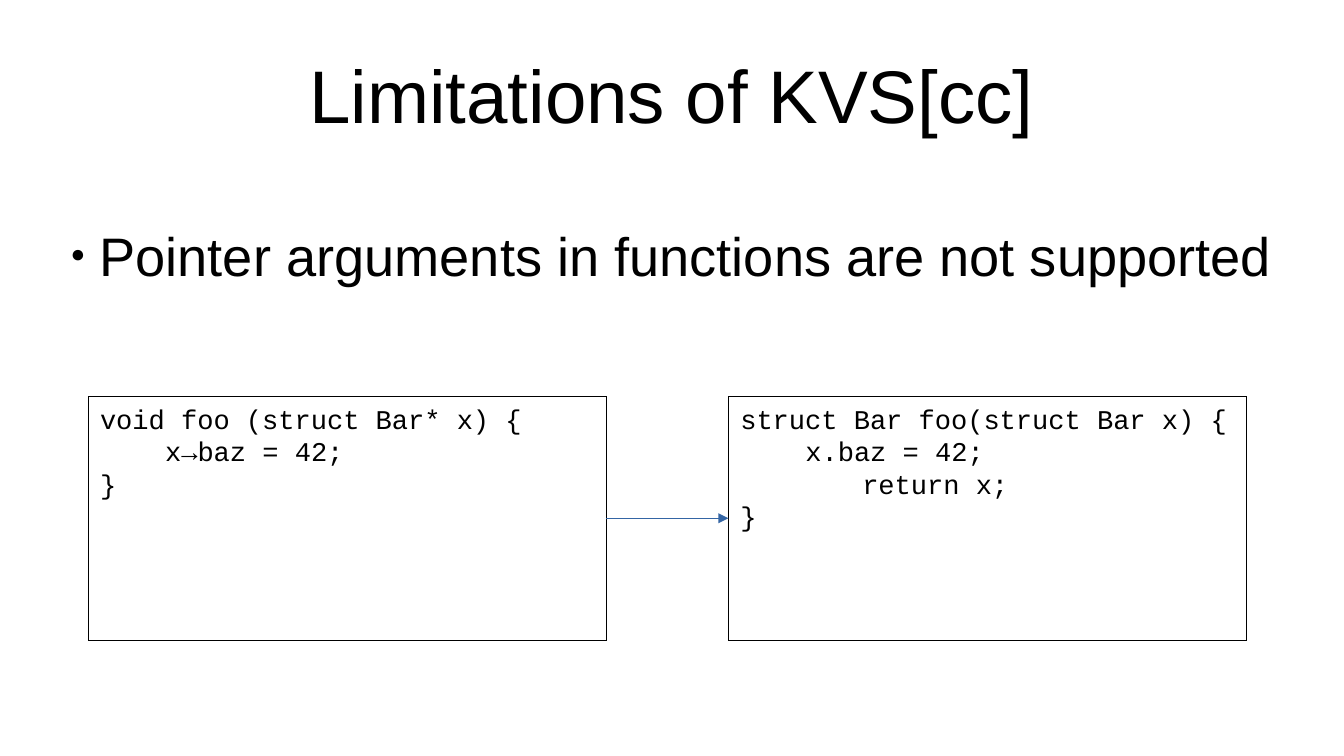
from dataclasses import dataclass

from lxml import etree
from pptx import Presentation
from pptx.dml.color import RGBColor
from pptx.enum.shapes import MSO_CONNECTOR, MSO_SHAPE
from pptx.enum.text import MSO_ANCHOR, MSO_AUTO_SIZE, PP_ALIGN
from pptx.oxml.ns import qn
from pptx.util import Pt

STRAIGHT = MSO_CONNECTOR.STRAIGHT
RECTANGLE = MSO_SHAPE.RECTANGLE
TOP, MIDDLE = MSO_ANCHOR.TOP, MSO_ANCHOR.MIDDLE
NO_AUTOFIT = MSO_AUTO_SIZE.NONE
LEFT, CENTER = PP_ALIGN.LEFT, PP_ALIGN.CENTER
LEFT_SIDE, RIGHT_SIDE = 1, 3


@dataclass(frozen=True)
class Theme:
    ink: RGBColor = RGBColor(0, 0, 0)
    arrow: RGBColor = RGBColor(0x34, 0x65, 0xA4)
    prose_font: str = "Arial"
    code_font: str = "Courier New"
    title_size: int = 44
    point_size: int = 32
    code_size: int = 16
    hairline: int = 0


THEME = Theme()
CODE_TOP, CODE_WIDTH, CODE_HEIGHT = 234, 306, 144
CODE_LEFT, CODE_GAP = 52, 72
STATEMENT_INDENT, TAB_INDENT = 38.4, 72
BULLET_INDENT = 17


def apply(target, values):
    for name, value in values.items():
        setattr(target, name, value)


def place(shape, left, top, width, height):
    apply(shape, {"left": Pt(left), "top": Pt(top),
                  "width": Pt(width), "height": Pt(height)})


def format_frame(frame, anchor, side=0, top=0, bottom=0):
    apply(frame, {"word_wrap": True, "auto_size": NO_AUTOFIT,
                  "vertical_anchor": anchor,
                  "margin_left": Pt(side), "margin_right": Pt(side),
                  "margin_top": Pt(top), "margin_bottom": Pt(bottom)})


def write(paragraph, text, font, size, alignment=LEFT):
    apply(paragraph, {"text": text, "alignment": alignment, "line_spacing": 1.0,
                      "space_before": Pt(0), "space_after": Pt(0)})
    apply(paragraph.font, {"name": font, "size": Pt(size)})
    paragraph.font.color.rgb = THEME.ink


def indent(paragraph, left, first=0):
    properties = paragraph._p.get_or_add_pPr()
    properties.set("marL", str(Pt(left)))
    properties.set("indent", str(Pt(first)))
    return properties


def add_bullet(paragraph):
    properties = indent(paragraph, BULLET_INDENT, -BULLET_INDENT)
    color = etree.SubElement(properties, qn("a:buClr"))
    etree.SubElement(color, qn("a:srgbClr"), val=str(THEME.ink))
    etree.SubElement(properties, qn("a:buSzPct"), val="45000")
    etree.SubElement(properties, qn("a:buFont"), typeface=THEME.prose_font)
    etree.SubElement(properties, qn("a:buChar"), char="●")


def draw_hairline(line, color):
    line.color.rgb = color
    outline = line._get_or_add_ln()
    outline.set("w", str(Pt(THEME.hairline)))
    return outline


def fill_title(title, text):
    place(title, 39.6, 18, 714.24, 74.88)
    format_frame(title.text_frame, MIDDLE)
    write(title.text_frame.paragraphs[0], text,
          THEME.prose_font, THEME.title_size, CENTER)


def fill_point(body, text):
    place(body, 41.76, 104.4, 714.24, 129.6)
    format_frame(body.text_frame, MIDDLE, bottom=38)
    point = body.text_frame.paragraphs[0]
    write(point, text, THEME.prose_font, THEME.point_size)
    add_bullet(point)


def add_code(slide, column, lines):
    left = CODE_LEFT + column * (CODE_WIDTH + CODE_GAP)
    box = slide.shapes.add_shape(RECTANGLE, Pt(left), Pt(CODE_TOP),
                                 Pt(CODE_WIDTH), Pt(CODE_HEIGHT))
    box.shadow.inherit = False
    box.fill.background()
    draw_hairline(box.line, THEME.ink)
    frame = box.text_frame
    format_frame(frame, TOP, side=7.2, top=3.6, bottom=3.6)
    for number, (margin, code) in enumerate(lines):
        paragraph = frame.add_paragraph() if number else frame.paragraphs[0]
        write(paragraph, code, THEME.code_font, THEME.code_size)
        indent(paragraph, margin)
    return box


def add_arrow(slide, before, after):
    arrow = slide.shapes.add_connector(STRAIGHT, 0, 0, 0, 0)
    arrow.begin_connect(before, RIGHT_SIDE)
    arrow.end_connect(after, LEFT_SIDE)
    outline = draw_hairline(arrow.line, THEME.arrow)
    etree.SubElement(outline, qn("a:tailEnd"), type="triangle")
    etree.SubElement(arrow._element.spPr, qn("a:effectLst"))


def main():
    deck = Presentation()
    apply(deck, {"slide_width": Pt(793.44), "slide_height": Pt(446.4)})
    slide = deck.slides.add_slide(deck.slide_layouts[1])
    fill_title(slide.shapes.title, "Limitations of KVS[cc]")
    fill_point(slide.placeholders[1],
               "Pointer arguments in functions are not supported")
    by_value = add_code(slide, 1, [
        (0, "struct Bar foo(struct Bar x) {"),
        (STATEMENT_INDENT, "x.baz = 42;"),
        (TAB_INDENT, "return x;"),
        (0, "}"),
    ])
    by_pointer = add_code(slide, 0, [
        (0, "void foo (struct Bar* x) {"),
        (STATEMENT_INDENT, "x→baz = 42;"),
        (0, "}"),
    ])
    add_arrow(slide, by_pointer, by_value)
    deck.save("out.pptx")


if __name__ == "__main__":
    main()
